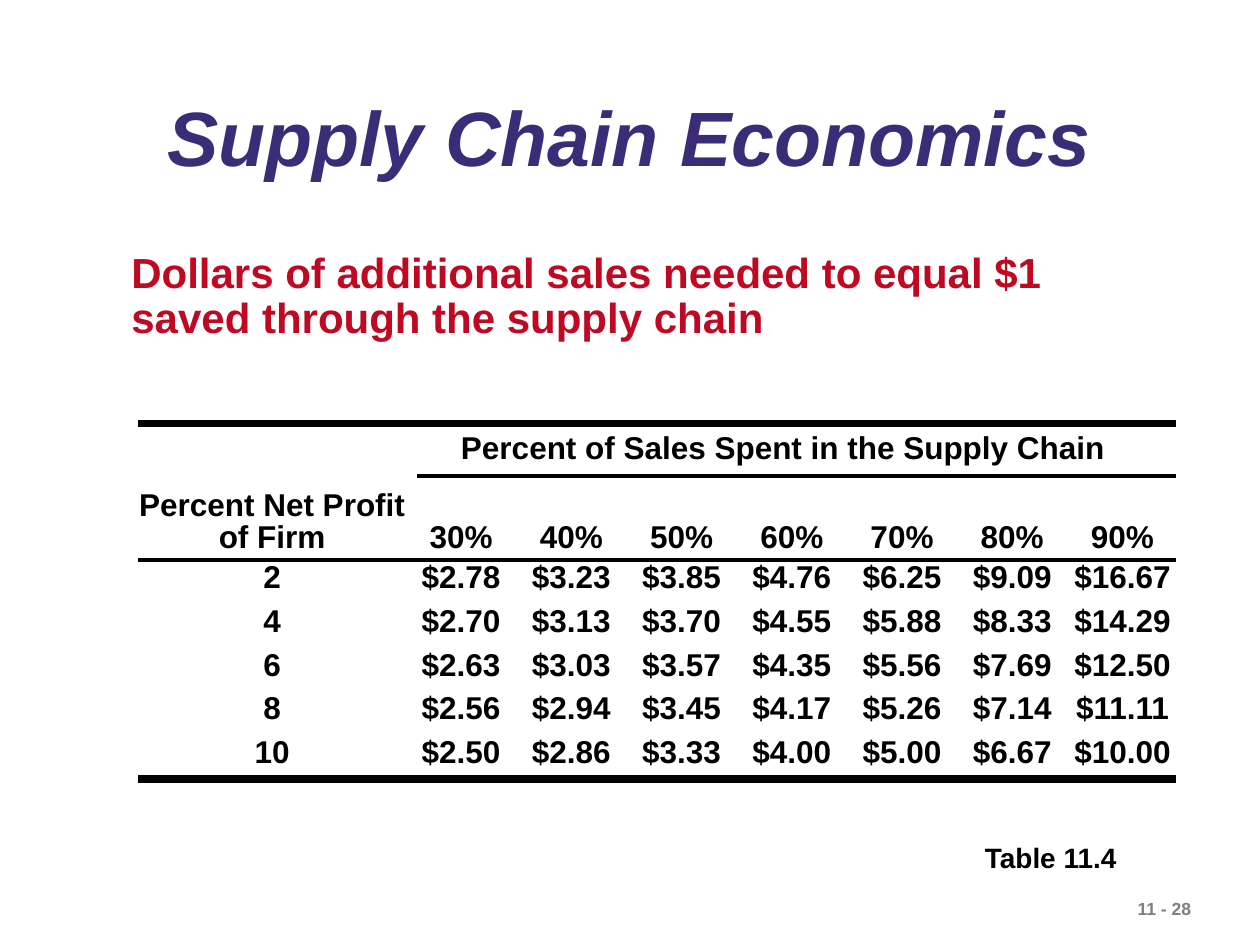
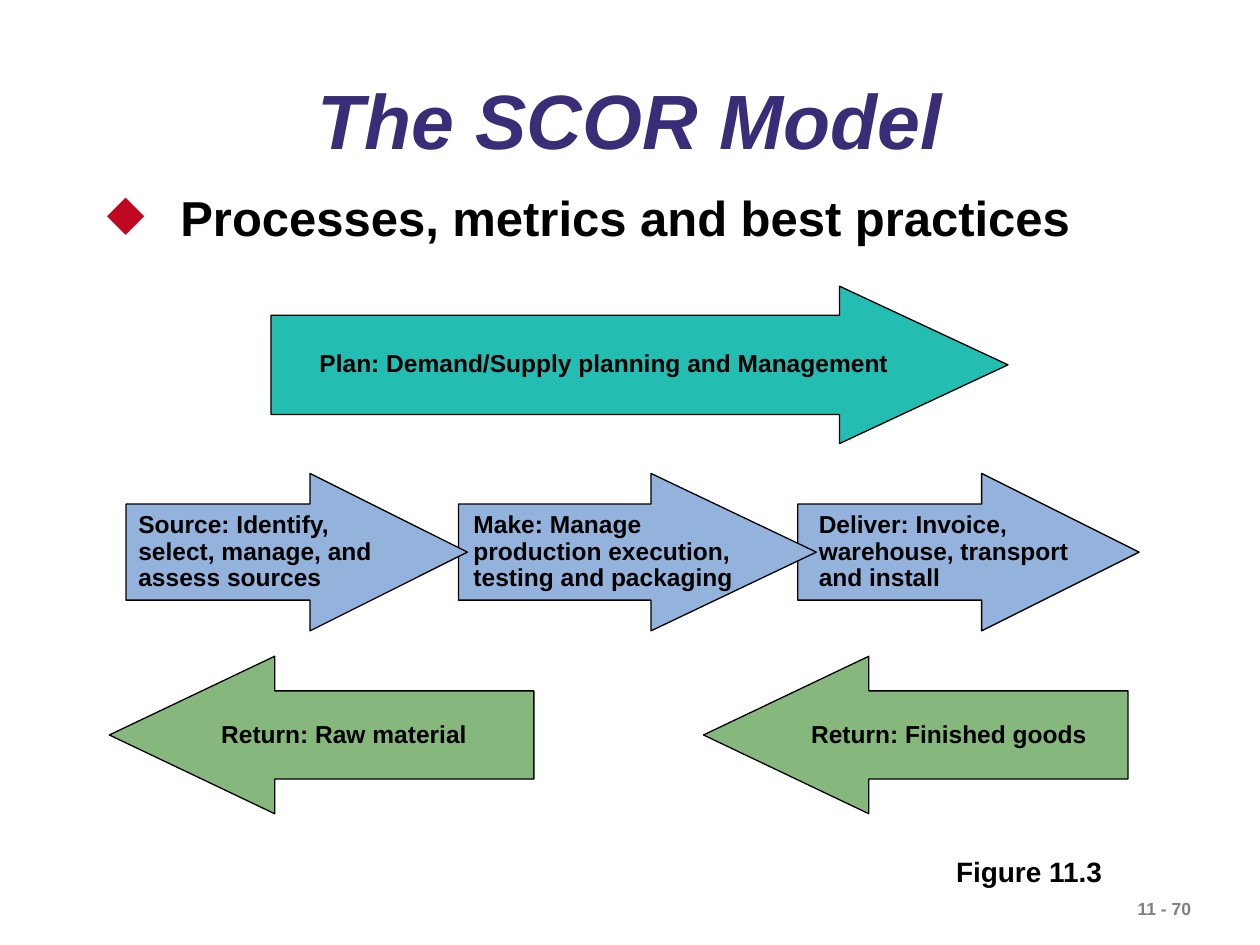
from dataclasses import dataclass

from pptx import Presentation
from pptx.dml.color import RGBColor
from pptx.enum.shapes import MSO_CONNECTOR as Connector, MSO_SHAPE as Preset
from pptx.enum.text import MSO_ANCHOR as Anchor, PP_ALIGN as Align
from pptx.oxml.xmlchemy import OxmlElement
from pptx.slide import Slide
from pptx.table import _Cell as Cell
from pptx.text.text import _Paragraph as Paragraph
from pptx.util import Pt

FONT = "Arial"
BLACK, GRAY, RED, PURPLE = "000000", "7F7F7F", "BF0922", "3A2C76"
TEAL, BLUE, GREEN = "24BDB2", "93B3DD", "86B87D"

TABLE_LEFT, TABLE_TOP, TABLE_RIGHT = 79, 242, 672
LABEL_WIDTH, VALUE_WIDTH = 153, 63
SPANNER_HEIGHT, HEADER_HEIGHT, ROW_HEIGHT = 30, 48, 25
HEADER = ["Percent Net Profit of Firm", "30%", "40%", "50%", "60%", "70%", "80%", "90%"]
SALES_ROWS = [
    ["2", "$2.78", "$3.23", "$3.85", "$4.76", "$6.25", "$9.09", "$16.67"],
    ["4", "$2.70", "$3.13", "$3.70", "$4.55", "$5.88", "$8.33", "$14.29"],
    ["6", "$2.63", "$3.03", "$3.57", "$4.35", "$5.56", "$7.69", "$12.50"],
    ["8", "$2.56", "$2.94", "$3.45", "$4.17", "$5.26", "$7.14", "$11.11"],
    ["10", "$2.50", "$2.86", "$3.33", "$4.00", "$5.00", "$6.67", "$10.00"],
]


@dataclass
class Label:
    """A text box with one paragraph of bold text."""
    text: str
    left: float
    top: float
    width: float
    height: float
    size: float = 14
    color: str = BLACK
    italic: bool = False
    align: Align = Align.LEFT
    anchor: Anchor = Anchor.TOP
    spacing: float = 0.9
    wrap: bool = True


@dataclass
class Arrow:
    """A block arrow with its proportions."""
    left: float
    top: float
    width: float
    fill: str
    shaft: float
    head: float
    preset: Preset = Preset.RIGHT_ARROW
    height: float = 90


@dataclass
class Rule:
    """A horizontal table rule."""
    left: float
    y: float
    weight: float


ARROWS = [
    Arrow(154.8, 163.5, 421.2, TEAL, 0.63, 1.07),
    Arrow(455.8, 270.5, 195.1, BLUE, 0.61, 1),
    Arrow(262, 270.5, 204.5, BLUE, 0.61, 1.05),
    Arrow(72, 270.5, 195.1, BLUE, 0.61, 1),
    Arrow(62.5, 375, 242.6, GREEN, 0.56, 1.05, Preset.LEFT_ARROW),
    Arrow(402, 375, 242.6, GREEN, 0.56, 1.05, Preset.LEFT_ARROW),
]
ARROW_LABELS = [
    Label("Plan: Demand/Supply planning and Management", 175.5, 197, 340, 22, wrap=False),
    Label("Source: Identify, select, manage, and assess sources", 72, 289.3, 150, 52.5),
    Label("Make: Manage production execution, testing and packaging", 263.5, 289.3, 172, 52.5),
    Label("Deliver: Invoice, warehouse, transport and install", 460.8, 289.3, 158.4, 52.5),
    Label("Return: Raw material", 119.3, 409, 155, 22, wrap=False),
    Label("Return: Finished goods", 456.4, 409, 172, 22, wrap=False),
]


def rgb(color: str) -> RGBColor:
    """Turn a hex string into a colour."""
    return RGBColor.from_string(color)


def style_paragraph(paragraph: Paragraph, size: float, color: str = BLACK, italic: bool = False,
                    align: Align = Align.LEFT, spacing: float = 0.9) -> None:
    """Set alignment, spacing and the bold deck font."""
    paragraph.alignment = align
    paragraph.line_spacing = spacing
    for run in paragraph.runs:
        run.font.name = FONT
        run.font.size = Pt(size)
        run.font.bold = True
        run.font.italic = italic
        run.font.color.rgb = rgb(color)


def add_label(slide: Slide, label: Label) -> Paragraph:
    """Add a text box and return its paragraph."""
    shape = slide.shapes.add_textbox(Pt(label.left), Pt(label.top), Pt(label.width), Pt(label.height))
    text_frame = shape.text_frame
    text_frame.text = label.text
    text_frame.word_wrap = label.wrap
    text_frame.vertical_anchor = label.anchor
    paragraph = text_frame.paragraphs[0]
    style_paragraph(paragraph, label.size, label.color, label.italic, label.align, label.spacing)
    return paragraph


def add_bullet(paragraph: Paragraph, symbol: str, color: str, indent: float) -> None:
    """Give a paragraph a coloured hanging bullet."""
    properties = paragraph._p.get_or_add_pPr()
    properties.set("marL", str(Pt(indent)))
    properties.set("indent", str(-Pt(indent)))
    bullet_color = OxmlElement("a:buClr")
    value = OxmlElement("a:srgbClr")
    value.set("val", color)
    bullet_color.append(value)
    bullet = OxmlElement("a:buChar")
    bullet.set("char", symbol)
    properties.extend([bullet_color, bullet])


def add_rule(slide: Slide, rule: Rule) -> None:
    """Draw a black rule to the right edge of the table."""
    connector = slide.shapes.add_connector(
        Connector.STRAIGHT, Pt(rule.left), Pt(rule.y), Pt(TABLE_RIGHT), Pt(rule.y))
    connector.line.color.rgb = rgb(BLACK)
    connector.line.width = Pt(rule.weight)
    connector._element.spPr.append(OxmlElement("a:effectLst"))


def add_arrow(slide: Slide, arrow: Arrow) -> None:
    """Draw a filled block arrow."""
    shape = slide.shapes.add_shape(
        arrow.preset, Pt(arrow.left), Pt(arrow.top), Pt(arrow.width), Pt(arrow.height))
    shape.adjustments[0] = arrow.shaft
    shape.adjustments[1] = arrow.head
    shape.shadow.inherit = False
    shape.fill.solid()
    shape.fill.fore_color.rgb = rgb(arrow.fill)
    shape.line.color.rgb = rgb(BLACK)
    shape.line.width = Pt(0.75)


def fill_cell(cell: Cell, text: str, anchor: Anchor) -> None:
    """Write centred text into a clear cell."""
    cell.fill.background()
    cell.margin_left = cell.margin_right = cell.margin_top = 0
    cell.margin_bottom = Pt(3)
    cell.vertical_anchor = anchor
    cell.text_frame.text = text
    style_paragraph(cell.text_frame.paragraphs[0], 18, align=Align.CENTER)


def add_sales_table(slide: Slide) -> None:
    """Add the table of sales needed and its rules."""
    rows = [[""] * len(HEADER), HEADER, *SALES_ROWS]
    heights = [SPANNER_HEIGHT, HEADER_HEIGHT] + [ROW_HEIGHT] * len(SALES_ROWS)
    widths = [LABEL_WIDTH] + [VALUE_WIDTH] * (len(HEADER) - 1)
    table = slide.shapes.add_table(
        len(rows), len(widths), Pt(TABLE_LEFT), Pt(TABLE_TOP), Pt(sum(widths)), Pt(sum(heights))).table
    table.first_row = table.horz_banding = False
    for column, width in zip(table.columns, widths):
        column.width = Pt(width)
    for row_index, (row, height) in enumerate(zip(rows, heights)):
        table.rows[row_index].height = Pt(height)
        anchor = Anchor.BOTTOM if row is HEADER else Anchor.MIDDLE
        for column_index, text in enumerate(row):
            fill_cell(table.cell(row_index, column_index), text, anchor)
    spanner = table.cell(0, 1)
    spanner.merge(table.cell(0, len(HEADER) - 1))
    fill_cell(spanner, "Percent of Sales Spent in the Supply Chain", Anchor.MIDDLE)
    spanner.margin_right = Pt(10)
    spanner.margin_bottom = 0

    spanner_bottom = TABLE_TOP + SPANNER_HEIGHT
    for rule in (
        Rule(TABLE_LEFT, TABLE_TOP, 4.5),
        Rule(238.5, spanner_bottom, 2.25),
        Rule(TABLE_LEFT, spanner_bottom + HEADER_HEIGHT, 2.25),
        Rule(TABLE_LEFT, TABLE_TOP + sum(heights), 4.5),
    ):
        add_rule(slide, rule)


def add_base_slide(presentation: Presentation, title: str, title_top: float, number: str) -> Slide:
    """Add a blank slide with the shared title and page number."""
    slide = presentation.slides.add_slide(presentation.slide_layouts[6])
    add_label(slide, Label(number, 643, 509.8, 72, 19.5, 10, GRAY, spacing=1))
    add_label(slide, Label(title, 54, title_top, 612, 72, 44, PURPLE, True,
                           Align.CENTER, Anchor.MIDDLE))
    return slide


def add_caption(slide: Slide, text: str, left: float, top: float, width: float) -> None:
    """Add the table or figure number."""
    add_label(slide, Label(text, left, top, width, 26.6, 16, spacing=1, wrap=False))


def build_economics(presentation: Presentation) -> None:
    """Build the supply chain economics slide."""
    slide = add_base_slide(presentation, "Supply Chain Economics", 45, "11 - 28")
    add_label(slide, Label(
        "Dollars of additional sales needed to equal $1 saved through the supply chain",
        68, 140.4, 584, 59, 24, RED))
    add_sales_table(slide)
    add_caption(slide, "Table 11.4", 555.8, 476.6, 91.4)


def build_scor(presentation: Presentation) -> None:
    """Build the SCOR model slide."""
    slide = add_base_slide(presentation, "The SCOR Model", 35, "11 - 70")
    paragraph = add_label(slide, Label(
        "Processes, metrics and best practices", 54, 107.3, 612, 41, 28))
    add_bullet(paragraph, "◆", RED, 42)
    for arrow in ARROWS:
        add_arrow(slide, arrow)
    for label in ARROW_LABELS:
        add_label(slide, label)
    add_caption(slide, "Figure 11.3", 539.3, 484.6, 98.6)


def main() -> None:
    """Build and save the deck."""
    presentation = Presentation()
    presentation.slide_width, presentation.slide_height = Pt(720), Pt(540)
    build_economics(presentation)
    build_scor(presentation)
    presentation.save("out.pptx")


if __name__ == "__main__":
    main()
